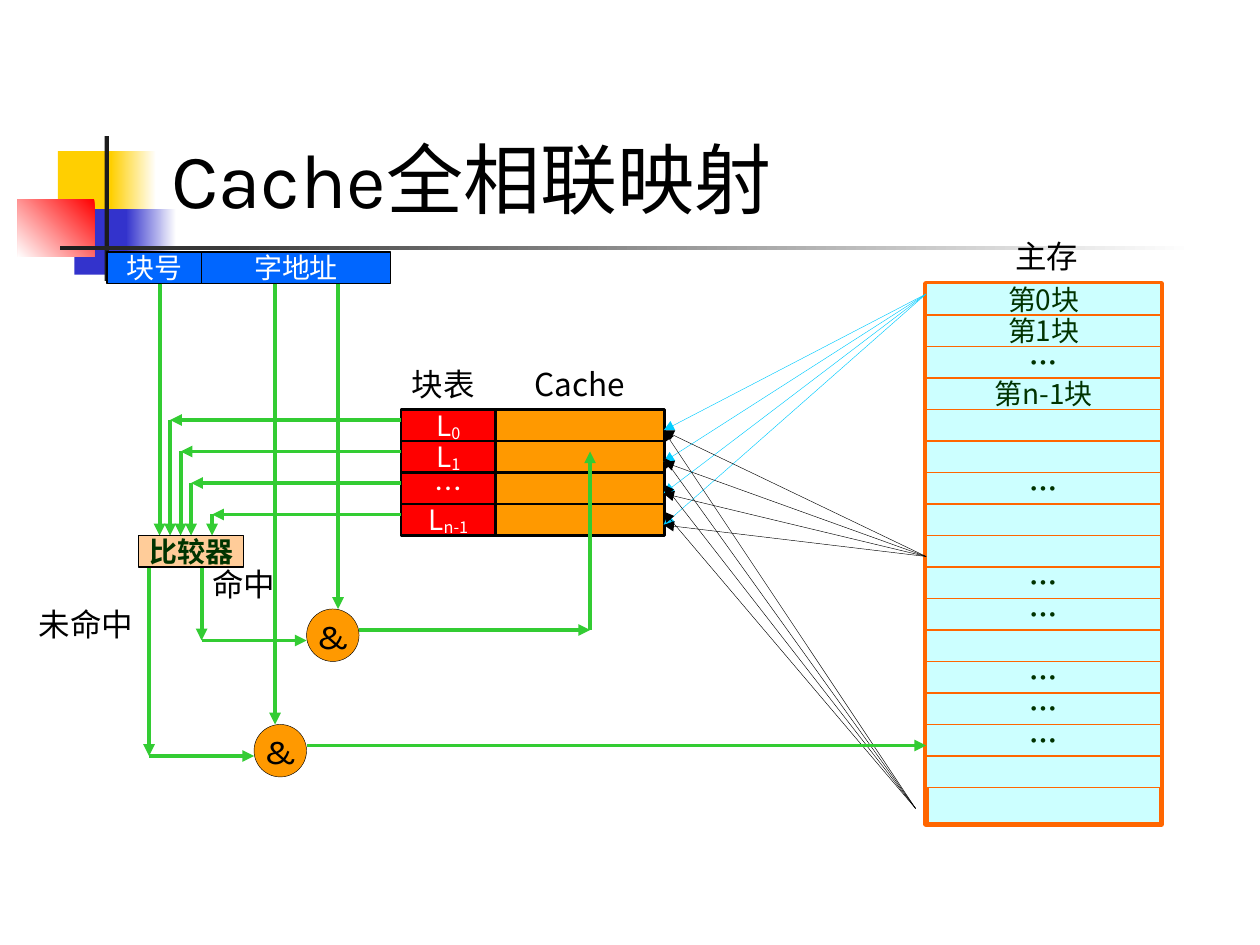
from lxml import etree
from pptx import Presentation
from pptx.dml.color import RGBColor
from pptx.enum.shapes import MSO_CONNECTOR, MSO_SHAPE
from pptx.enum.text import MSO_ANCHOR, PP_ALIGN
from pptx.oxml.ns import qn
from pptx.util import Inches, Pt

RECT, OVAL, STRAIGHT = MSO_SHAPE.RECTANGLE, MSO_SHAPE.OVAL, MSO_CONNECTOR.STRAIGHT
CENTER, LEFT = PP_ALIGN.CENTER, PP_ALIGN.LEFT
MIDDLE, TOP, BOTTOM = MSO_ANCHOR.MIDDLE, MSO_ANCHOR.TOP, MSO_ANCHOR.BOTTOM

WIDTH, HEIGHT = 10, 7.5
UNIT = 1 / 12                 # grid step in inches
GRID_LEFT, GRID_TOP = 0.85, 2
CELL = 3                      # rows taken by one block
CACHE_TOP, CACHE_RIGHT = 15, 53
MEMORY_TOP, MEMORY_LEFT, MEMORY_WIDTH = 3, 78, 22.4

LATIN, CJK, LABEL_CJK = "Karla", "Noto Sans CJK SC", "Noto Sans CJK JP"
COLORS = {
    "black": "000000", "white": "FFFFFF", "ink": "1C1C1C",
    "yellow": "FFCF01", "indigo": "3333CC", "red": "FF0000",
    "address": "0066FF", "cache": "FF9900", "comparator": "FFCC99",
    "memory": "CCFFFF", "border": "FF6600", "block": "003300",
    "signal": "33CC33", "first": "00CCFF",
}


def color(name):
    return RGBColor.from_string(COLORS[name])


def grid_box(col, row, cols, rows):
    return (Inches(GRID_LEFT + col * UNIT), Inches(GRID_TOP + row * UNIT),
            Inches(cols * UNIT), Inches(rows * UNIT))


def share_box(left, top, width, height):
    """Box given in percent of the slide."""
    return (Inches(left * WIDTH / 100), Inches(top * HEIGHT / 100),
            Inches(width * WIDTH / 100), Inches(height * HEIGHT / 100))


def write(frame, text, size, ink, font=CJK, bold=False, sub="",
          align=CENTER, anchor=MIDDLE, wrap=False):
    frame.word_wrap = wrap
    frame.vertical_anchor = anchor
    paragraph = frame.paragraphs[0]
    paragraph.alignment = align
    paragraph.font.size = Pt(size)
    paragraph.font.bold = bold
    paragraph.font.color.rgb = color(ink)
    paragraph.font.name = font
    east_asian = CJK if font == LATIN else font
    defaults = paragraph.font.color.rgb and paragraph._p.pPr.find(qn("a:defRPr"))
    etree.SubElement(defaults, qn("a:ea"), typeface=east_asian)
    paragraph.add_run().text = text
    if sub:
        subscript = paragraph.add_run()
        subscript.text = sub
        subscript.font._element.set("baseline", "-10000")


def ornament(slide, box, start, end=None, angle=180):
    """Borderless bar, plain or fading from start to end."""
    bar = slide.shapes.add_shape(RECT, *share_box(*box))
    bar.shadow.inherit = False
    bar.line.fill.background()
    if end is None:
        bar.fill.solid()
        bar.fill.fore_color.rgb = color(start)
        return
    bar.fill.gradient()
    bar.fill.gradient_angle = angle
    for stop, name in zip(bar.fill.gradient_stops, (start, end)):
        stop.color.rgb = color(name)


def block(slide, box, fill, border="black", weight=1.0, kind=RECT):
    shape = slide.shapes.add_shape(kind, *grid_box(*box))
    shape.shadow.inherit = False
    shape.fill.solid()
    shape.fill.fore_color.rgb = color(fill)
    shape.line.color.rgb = color(border)
    shape.line.width = Pt(weight)
    return shape.text_frame


def arrow(slide, start, end, ink="signal", weight=2.25):
    points = [grid_box(*point, 0, 0)[:2] for point in (start, end)]
    line = slide.shapes.add_connector(STRAIGHT, *points[0], *points[1])
    line.line.color.rgb = color(ink)
    line.line.width = Pt(weight)
    properties = line.element.spPr
    etree.SubElement(properties.find(qn("a:ln")), qn("a:tailEnd"), type="triangle")
    etree.SubElement(properties, qn("a:effectLst"))


def fan(slide, source, first_row, step, ink):
    """Thin arrows from one memory block to every cache line."""
    for i in range(4):
        arrow(slide, source, (CACHE_RIGHT, first_row + i * step), ink, 0.25)


def label(slide, text, col, row, font=LABEL_CJK):
    box = slide.shapes.add_textbox(*grid_box(col, row, 12, 4.8))
    write(box.text_frame, text, 18, "black", font, anchor=TOP, wrap=True)


def draw_heading(slide):
    ornament(slide, (4.6, 16, 4.8, 6.93), "yellow")
    ornament(slide, (8.8, 16, 3.6, 6.93), "white", "yellow")
    ornament(slide, (5.9, 22.13, 4.6, 6.93), "indigo")
    ornament(slide, (10, 22.13, 4, 6.93), "white", "indigo")
    ornament(slide, (1.4, 21.07, 6.1, 6.13), "red", "white", 225)
    ornament(slide, (8.3, 14.4, 0.35, 15.33), "ink")
    ornament(slide, (4.8, 26, 90, 0.45), "white", "ink")
    title = slide.shapes.add_textbox(*share_box(12.6, 3.07, 85.2, 21.33))
    write(title.text_frame, "Cache全相联映射", 44, "black", LATIN,
          align=LEFT, anchor=BOTTOM, wrap=True)


def draw_memory(slide):
    block(slide, (MEMORY_LEFT, MEMORY_TOP, MEMORY_WIDTH, 51.5), "memory", "border", 3)
    rows = ["第0块", "第1块", "…", "第n-1块", "", "", "…", "",
            "", "…", "…", "", "…", "…", "…", ""]
    for i, text in enumerate(rows):
        box = (MEMORY_LEFT, MEMORY_TOP + i * CELL, MEMORY_WIDTH, CELL)
        frame = block(slide, box, "memory", "border")
        if text:
            write(frame, text, 16, "block", bold=text == "…")
    label(slide, "主存", 83.5, -2, LATIN)


def draw_cache(slide):
    for i, (text, sub) in enumerate([("L", "0"), ("L", "1"), ("…", ""), ("L", "n-1")]):
        row = CACHE_TOP + i * CELL
        block(slide, (36.6, row, 16.5, CELL), "cache", weight=1.5)
        tag = block(slide, (28, row, 9, CELL), "red", weight=1.5)
        write(tag, text, 16, "white", sub=sub)
    label(slide, "块表", 26, 10.2)
    label(slide, "Cache", 39, 10.2)


def draw_mapping(slide):
    fan(slide, (MEMORY_LEFT, 4), 17, 3, "first")
    fan(slide, (MEMORY_LEFT - 1, 53), 17, 2.57, "black")
    fan(slide, (MEMORY_LEFT, 29), 17, 3, "black")


def draw_lookup(slide):
    # Address fields
    for text, col, cols in (("块号", 0, 9), ("字地址", 9, 18)):
        write(block(slide, (col, 0, cols, CELL), "address"), text, 16, "white")
    # Block table entries into the comparator
    for i, col in enumerate((6, 7, 8, 10)):
        row = CACHE_TOP + 1 + i * CELL
        arrow(slide, (28, row), (col, row))
        arrow(slide, (col, row), (col, 27))
    # AND gates
    for col, row in ((19, 34), (14, 45)):
        gate = block(slide, (col, row, 5, 5), "cache", weight=0.25, kind=OVAL)
        write(gate, "&", 20, "black", LATIN)
    signals = [
        ((5, 3), (5, 27)),                           # block number
        ((22, 3), (22, 34)), ((16, 3), (16, 45)),    # word address
        ((9, 29), (9, 37)), ((9, 37), (19, 37)),     # hit
        ((24, 36), (46, 36)), ((46, 36), (46, 19)),  # to the cache
        ((4, 30), (4, 48)), ((4, 48), (14, 48)),     # miss
        ((19, 47), (MEMORY_LEFT, 47)),               # to main memory
    ]
    for start, end in signals:
        arrow(slide, start, end)
    label(slide, "命中", 7, 29.2)
    label(slide, "未命中", -8, 33)
    write(block(slide, (3, 27, 10, CELL), "comparator"), "比较器", 16, "block", bold=True)


def main():
    deck = Presentation()
    deck.slide_width, deck.slide_height = Inches(WIDTH), Inches(HEIGHT)
    slide = deck.slides.add_slide(deck.slide_layouts[6])
    draw_heading(slide)
    draw_memory(slide)
    draw_cache(slide)
    draw_mapping(slide)
    draw_lookup(slide)
    deck.save("out.pptx")


if __name__ == "__main__":
    main()
